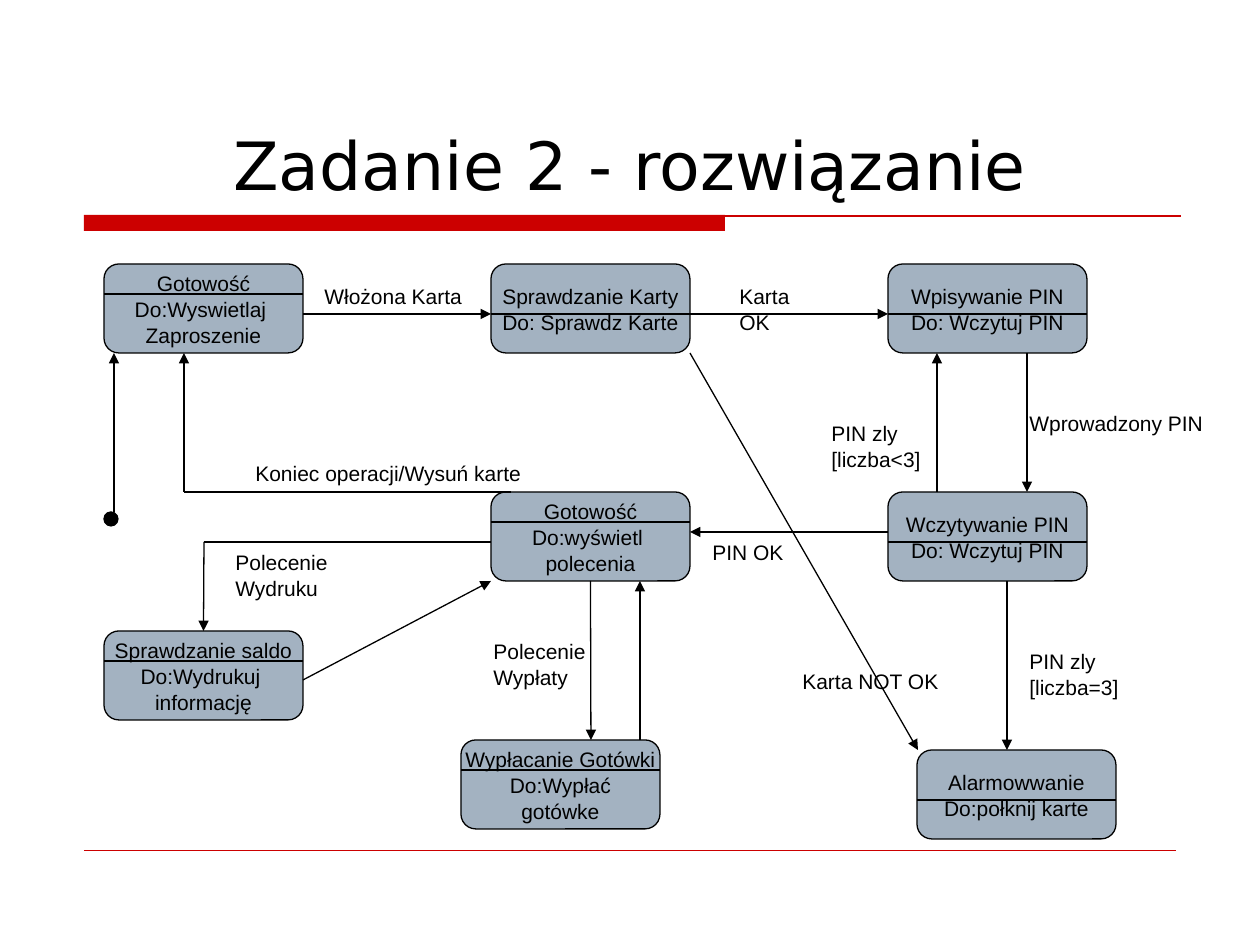
from dataclasses import dataclass

from pptx import Presentation
from pptx.dml.color import RGBColor
from pptx.enum.shapes import MSO_CONNECTOR, MSO_SHAPE
from pptx.enum.text import MSO_ANCHOR, PP_ALIGN
from pptx.oxml.ns import qn
from pptx.util import Pt
from lxml import etree

STRAIGHT = MSO_CONNECTOR.STRAIGHT
RECT, ROUNDED, OVAL = MSO_SHAPE.RECTANGLE, MSO_SHAPE.ROUNDED_RECTANGLE, MSO_SHAPE.OVAL
LEFT, CENTER = PP_ALIGN.LEFT, PP_ALIGN.CENTER
TOP, MIDDLE, BOTTOM = MSO_ANCHOR.TOP, MSO_ANCHOR.MIDDLE, MSO_ANCHOR.BOTTOM
SITE_TOP, SITE_BOTTOM = 0, 2


@dataclass(frozen=True)
class Theme:
    """Colours, fonts and sizes of the slide."""
    ink: RGBColor = RGBColor(0x00, 0x00, 0x00)
    accent: RGBColor = RGBColor(0xCC, 0x00, 0x00)
    state: RGBColor = RGBColor(0xA3, 0xB2, 0xC1)
    title_font: str = "DejaVu Sans"
    body_font: str = "Arial"
    title_size: int = 38
    body_size: int = 12
    body_spacing: float = 1.04
    line: float = 0.75
    hairline: float = 0.25


THEME = Theme()
STATE_W, STATE_H = 199, 89

STATES = {
    "ready": (104, 264, ["Gotowość", "Do:Wyswietlaj ", "Zaproszenie"]),
    "check_card": (491, 264, ["Sprawdzanie Karty", "Do: Sprawdz Karte"]),
    "enter_pin": (888, 264, ["Wpisywanie PIN", "Do: Wczytuj PIN"]),
    "read_pin": (888, 492, ["Wczytywanie PIN", "Do: Wczytuj PIN"]),
    "alarm": (917, 750, ["Alarmowwanie", "Do:połknij karte"]),
    "menu": (491, 492, ["Gotowość", "Do:wyświetl ", "polecenia"]),
    "payout": (461, 740, ["Wypłacanie Gotówki", "Do:Wypłać", "gotówke"]),
    "balance": (104, 631, ["Sprawdzanie saldo", "Do:Wydrukuj ", "informację"]),
}

ARROWS = [
    (303, 314, 491, 314),
    (690, 314, 888, 314),
    (1027, 353, 1027, 492),
    (937, 492, 937, 353),
    (1007, 581, 1007, 750),
    (888, 532, 690, 532),
    (640, 740, 640, 581),
    (184, 492, 184, 353),
    (114, 512, 114, 353),
    (690, 353, 918, 750),
    (303, 680, 491, 581),
]

ELBOW_STARTS = [(491, 542, 204, 542), (511, 492, 184, 492)]

LABELS = [
    (312, 276, 163, ["Włożona Karta"]),
    (727, 276, 111, ["Karta OK"]),
    (1017, 403, 199, ["Wprowadzony PIN"]),
    (819, 413, 115, ["PIN zly", "[liczba<3]"]),
    (700, 532, 96, ["PIN OK"]),
    (481, 631, 117, ["Polecenie", "Wypłaty"]),
    (243, 453, 291, ["Koniec operacji/Wysuń karte"]),
    (1017, 641, 115, ["PIN zly", "[liczba=3]"]),
    (790, 661, 161, ["Karta NOT OK"]),
    (223, 542, 117, ["Polecenie", "Wydruku"]),
]


def px(n):
    """Turn pixels into EMU at 126 pixels to the inch."""
    return round(n * 914400 / 126)


def write(tf, lines, align, anchor, font, size, spacing=1.0, wrap=False):
    """Fill a text frame with one paragraph per line."""
    tf.word_wrap = wrap
    tf.vertical_anchor = anchor
    for i, line in enumerate(lines):
        p = tf.paragraphs[0] if i == 0 else tf.add_paragraph()
        p.text = line
        p.alignment = align
        p.line_spacing = spacing
        p.font.name = font
        p.font.size = Pt(size)
        p.font.color.rgb = THEME.ink


def add_shape(slide, kind, x, y, w, h, fill, outline=None):
    """Add a filled preset shape, outlined if a colour is given."""
    sp = slide.shapes.add_shape(kind, px(x), px(y), px(w), px(h))
    sp.shadow.inherit = False
    sp.fill.solid()
    sp.fill.fore_color.rgb = fill
    if outline is None:
        sp.line.fill.background()
    else:
        sp.line.color.rgb = outline
        sp.line.width = Pt(THEME.line)
    return sp


def add_line(slide, x1, y1, x2, y2, color=THEME.ink, width=THEME.line, arrow=False):
    """Add a straight line, with an arrowhead at its end if asked."""
    c = slide.shapes.add_connector(STRAIGHT, px(x1), px(y1), px(x2), px(y2))
    c.line.color.rgb = color
    c.line.width = Pt(width)
    spPr = c.element.spPr
    if arrow:
        etree.SubElement(spPr.get_or_add_ln(), qn("a:tailEnd"), type="triangle")
    etree.SubElement(spPr, qn("a:effectLst"))
    return c


def add_state(slide, x, y, lines):
    """Add a rounded state box with a divider under its name."""
    sp = add_shape(slide, ROUNDED, x, y, STATE_W, STATE_H, THEME.state, THEME.ink)
    write(sp.text_frame, lines, CENTER, MIDDLE, THEME.body_font, THEME.body_size,
          THEME.body_spacing)
    divider = y + (30 if len(lines) == 3 else 50)
    add_line(slide, x, divider, x + STATE_W, divider)
    return sp


def add_label(slide, x, y, w, lines):
    """Add the caption of a transition."""
    sp = slide.shapes.add_textbox(px(x), px(y), px(w), px(13 + 25 * len(lines)))
    write(sp.text_frame, lines, LEFT, TOP, THEME.body_font, THEME.body_size,
          THEME.body_spacing)


def add_frame(slide):
    """Add the title with its red bar and the bottom rule."""
    add_shape(slide, RECT, 84, 215, 641, 16, THEME.accent)
    add_line(slide, 84, 216, 1181, 216, THEME.accent)
    add_line(slide, 84, 850, 1176, 850, THEME.accent, THEME.hairline)
    sp = slide.shapes.add_textbox(px(79), px(42), px(1102), px(168))
    write(sp.text_frame, ["Zadanie 2 - rozwiązanie"], CENTER, BOTTOM,
          THEME.title_font, THEME.title_size, wrap=True)


def main():
    """Build the state diagram slide."""
    prs = Presentation()
    prs.slide_width, prs.slide_height = px(1260), px(945)
    slide = prs.slides.add_slide(prs.slide_layouts[6])
    add_frame(slide)
    states = {name: add_state(slide, *state) for name, state in STATES.items()}
    add_shape(slide, OVAL, 104, 512, 14, 14, THEME.ink, THEME.ink)
    for ends in ELBOW_STARTS:
        add_line(slide, *ends)
    for ends in ARROWS:
        add_line(slide, *ends, arrow=True)
    to_payout = add_line(slide, 591, 581, 591, 740, arrow=True)
    to_payout.begin_connect(states["menu"], SITE_BOTTOM)
    to_balance = add_line(slide, 204, 542, 204, 631, arrow=True)
    to_balance.end_connect(states["balance"], SITE_TOP)
    for label in LABELS:
        add_label(slide, *label)
    prs.save("out.pptx")


if __name__ == "__main__":
    main()
